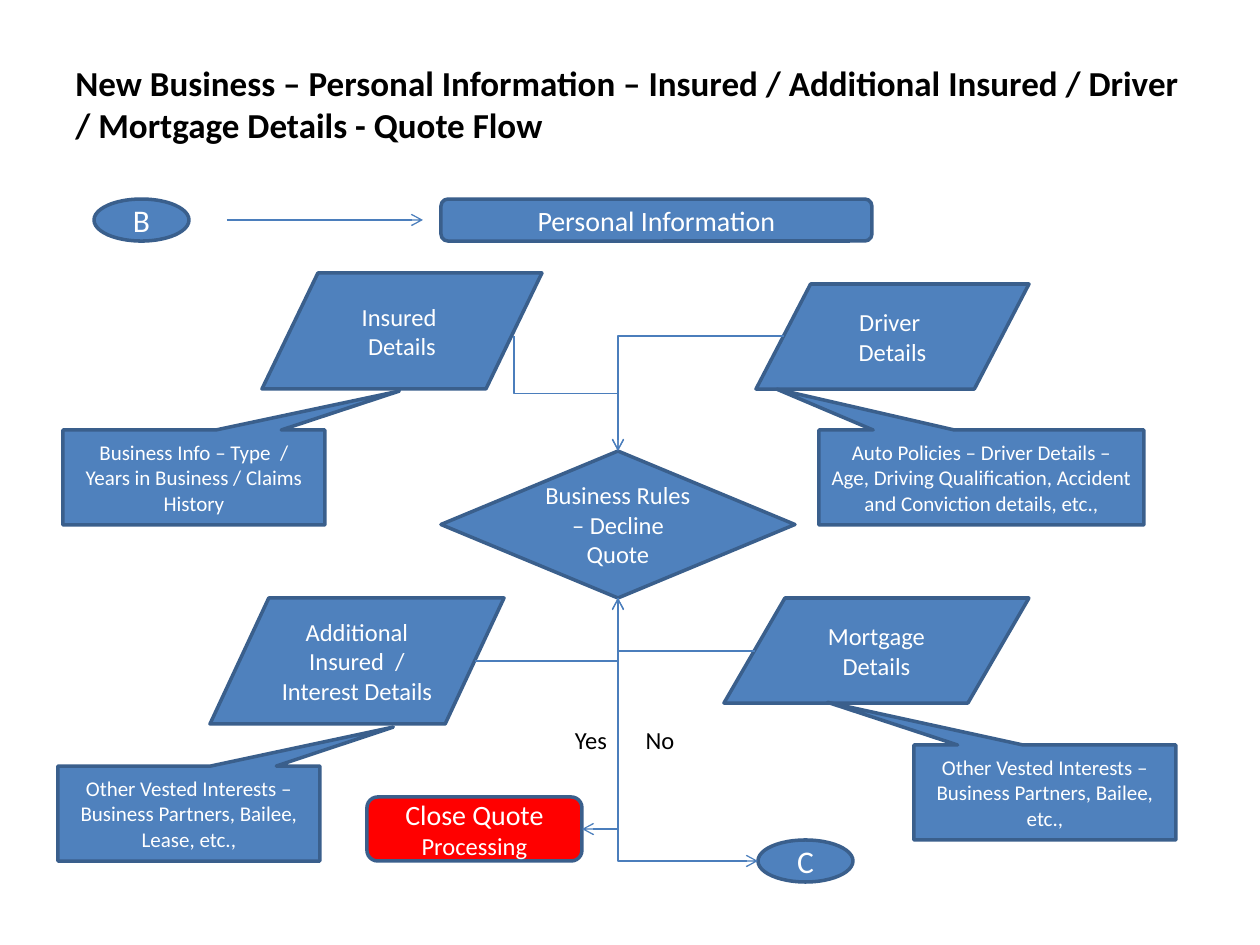
from lxml import etree
from pptx import Presentation
from pptx.dml.color import RGBColor
from pptx.enum.shapes import MSO_CONNECTOR, MSO_SHAPE
from pptx.enum.text import MSO_ANCHOR, PP_ALIGN
from pptx.oxml.ns import qn
from pptx.util import Emu, Pt

ELLIPSE = MSO_SHAPE.OVAL
DATA = MSO_SHAPE.FLOWCHART_DATA
PROCESS = MSO_SHAPE.FLOWCHART_ALTERNATE_PROCESS
DECISION = MSO_SHAPE.FLOWCHART_DECISION
CALLOUT = MSO_SHAPE.RECTANGULAR_CALLOUT
STRAIGHT = MSO_CONNECTOR.STRAIGHT
ELBOW = MSO_CONNECTOR.ELBOW
MIDDLE = MSO_ANCHOR.MIDDLE
CENTER = PP_ALIGN.CENTER
LEFT = PP_ALIGN.LEFT

BLUE = RGBColor(0x4F, 0x81, 0xBD)
OUTLINE = RGBColor(0x3A, 0x5F, 0x8C)
ARROW = RGBColor(0x4B, 0x7E, 0xBC)
RED = RGBColor(0xFF, 0x00, 0x00)
BLACK = RGBColor(0x00, 0x00, 0x00)
WHITE = RGBColor(0xFF, 0xFF, 0xFF)
SCALE = 914400 / 126


def px(*lengths):
    return [Emu(round(length * SCALE)) for length in lengths]


class FlowSlide:
    font = "Calibri"

    def __init__(self, slide):
        self.slide = slide

    def add_text(self, shape, runs, color, align=CENTER, bold=False):
        frame = shape.text_frame
        frame.word_wrap = True
        frame.vertical_anchor = MIDDLE
        paragraph = frame.paragraphs[0]
        paragraph.alignment = align
        for text, size in runs:
            run = paragraph.add_run()
            run.text = text
            run.font.name = self.font
            run.font.size = Pt(size)
            run.font.bold = bold
            run.font.color.rgb = color

    def label(self, box, text, size, align=CENTER, bold=False):
        shape = self.slide.shapes.add_textbox(*px(*box))
        self.add_text(shape, [(text, size)], BLACK, align, bold)

    def node(self, kind, box, *runs, fill=BLUE, pointer=()):
        shape = self.slide.shapes.add_shape(kind, *px(*box))
        shape.shadow.inherit = False
        shape.fill.solid()
        shape.fill.fore_color.rgb = fill
        shape.line.color.rgb = OUTLINE
        shape.line.width = Pt(2)
        for index, value in enumerate(pointer):
            shape.adjustments[index] = value
        self.add_text(shape, runs, WHITE)

    def arrow(self, start, end, kind=STRAIGHT):
        connector = self.slide.shapes.add_connector(kind, *px(*start, *end))
        connector.line.color.rgb = ARROW
        connector.line.width = Pt(0.75)
        properties = connector._element.spPr
        line = properties.find(qn("a:ln"))
        etree.SubElement(line, qn("a:tailEnd"), type="arrow")
        etree.SubElement(properties, qn("a:effectLst"))
        return connector

    def elbow(self, start, end, preset="bentConnector2", vertical=False):
        (x1, y1), (x2, y2) = start, end
        turn = 0
        if vertical:
            side = 1 if x2 > x1 else -1
            turn = 270 if side > 0 else 90
            middle_x, middle_y = (x1 + x2) / 2, (y1 + y2) / 2
            reach, rise = side * (y2 - y1) / 2, abs(x2 - x1) / 2
            start = middle_x + reach, middle_y - rise
            end = middle_x - reach, middle_y + rise
        properties = self.arrow(start, end, ELBOW)._element.spPr
        properties.find(qn("a:prstGeom")).set("prst", preset)
        if turn:
            properties.find(qn("a:xfrm")).set("rot", str(turn * 60000))


presentation = Presentation()
presentation.slide_width, presentation.slide_height = px(1260, 945)
flow = FlowSlide(presentation.slides.add_slide(presentation.slide_layouts[6]))

flow.label((63, 38, 1134, 130),
           "New Business – Personal Information – Insured / Additional Insured"
           " / Driver / Mortgage Details - Quote Flow", 20, LEFT, True)
flow.label((556, 720, 70, 40), "Yes", 14)
flow.label((625, 720, 70, 40), "No", 14)

for box, letter in (((94, 199, 95, 42), "B"), ((758, 840, 95, 42), "C")):
    flow.node(ELLIPSE, box, (letter, 18))

for box, text in (
    ((262, 273, 280, 116), "Insured  Details"),
    ((756, 284, 273, 105), "Driver  Details"),
    ((210, 598, 294, 126), "Additional Insured  / Interest Details"),
    ((724, 598, 305, 105), "Mortgage Details"),
):
    flow.node(DATA, box, (text, 14))

flow.node(PROCESS, (441, 199, 431, 42), ("Personal Information", 16))

for box, text, pointer in (
    ((63, 430, 262, 95),
     "Business Info – Type  / Years in Business / Claims History",
     (0.784, -0.91)),
    ((819, 430, 325, 95),
     "Auto Policies – Driver Details – Age, Driving Qualification, "
     "Accident and Conviction details, etc.,", (-0.63, -0.93)),
    ((58, 766, 262, 95),
     "Other Vested Interests – Business Partners, Bailee, Lease, etc.,",
     (0.78, -0.91)),
    ((914, 745, 262, 95),
     "Other Vested Interests – Business Partners, Bailee, etc.,",
     (-0.83, -0.95)),
):
    flow.node(CALLOUT, box, (text, 12), pointer=pointer)

flow.node(DECISION, (441, 451, 354, 147),
          ("Business Rules – Decline Quote", 14))
flow.node(PROCESS, (367, 797, 215, 64),
          ("Close Quote ", 16), ("Processing", 14), fill=RED)

decision_top = (618, 451)
decision_bottom = (618, 598)
flow.arrow((227, 220), (423, 220))
flow.elbow((514, 336), decision_top, "bentConnector3", vertical=True)
flow.elbow((784, 336), decision_top)
flow.elbow((755, 651), decision_bottom)
flow.elbow((475, 661), decision_bottom)
flow.elbow(decision_bottom, (582, 829), vertical=True)
flow.elbow(decision_bottom, (758, 861), vertical=True)

presentation.save("out.pptx")
